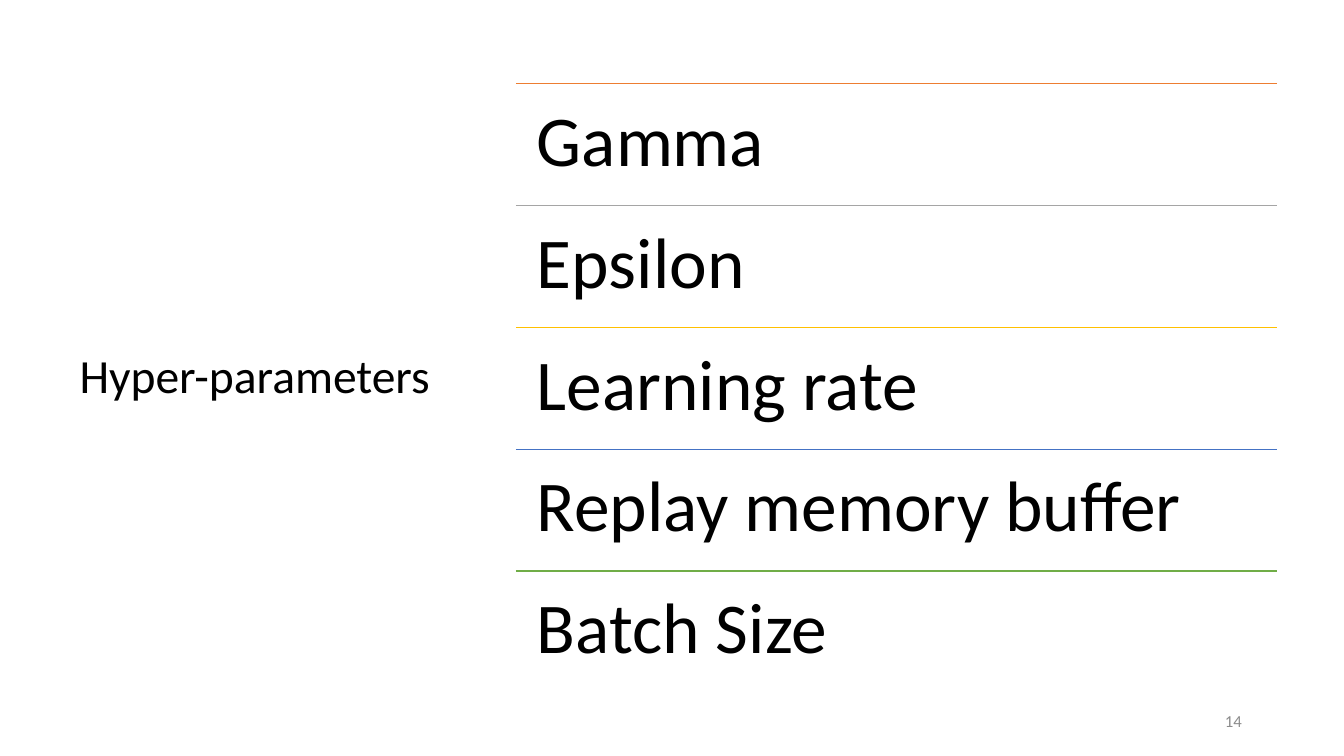
from pptx import Presentation
from pptx import util as u
from pptx.dml.color import RGBColor
from pptx.enum import shapes, text
from pptx.oxml.ns import qn
from lxml import etree

PARAMETERS = [
    ("Gamma", "ED7D31"),
    ("Epsilon", "A5A5A5"),
    ("Learning rate", "FFC000"),
    ("Replay memory buffer", "4472C4"),
    ("Batch Size", "70AD47"),
]
LIST_LEFT, LIST_TOP, LIST_WIDTH, ROW_HEIGHT = 13.0, 2.11, 19.17, 3.07


def rgb(color):
    return RGBColor.from_string(color)


def write(tf, content, size, color="000000", font="Calibri", spacing=None,
          align=text.PP_ALIGN.LEFT, anchor=text.MSO_ANCHOR.TOP, inset=None):
    tf.word_wrap = True
    tf.auto_size = text.MSO_AUTO_SIZE.NONE
    tf.vertical_anchor = anchor
    if inset is not None:
        tf.margin_left = tf.margin_right = u.Cm(inset)
        tf.margin_top = tf.margin_bottom = u.Cm(inset)
    p = tf.paragraphs[0]
    p.alignment = align
    p.line_spacing = spacing
    r = p.add_run()
    r.text = content
    r.font.name = font
    r.font.size = u.Pt(size)
    r.font.color.rgb = rgb(color)


class SlideBuilder:
    def __init__(self, prs):
        self.s = prs.slides.add_slide(prs.slide_layouts[5])

    def title(self, content, x, y, w, h, **style):
        sp = self.s.shapes.title
        sp.left, sp.top, sp.width, sp.height = map(u.Cm, (x, y, w, h))
        write(sp.text_frame, content, **style)

    def label(self, content, x, y, w, h, **style):
        sp = self.s.shapes.add_textbox(*map(u.Cm, (x, y, w, h)))
        write(sp.text_frame, content, **style)

    def rule(self, x, y, w, color):
        line = self.s.shapes.add_connector(
            shapes.MSO_CONNECTOR.STRAIGHT, *map(u.Cm, (x, y, x + w, y)))
        line.line.color.rgb = rgb(color)
        line.line.width = u.Pt(1)
        etree.SubElement(line._element.spPr, qn("a:effectLst"))


def main():
    prs = Presentation()
    prs.slide_width, prs.slide_height = u.Cm(33.87), u.Cm(19.05)
    slide = SlideBuilder(prs)
    slide.title("Hyper-parameters", 1.75, 1.78, 9.5, 15.52, size=34,
                spacing=0.9, anchor=text.MSO_ANCHOR.MIDDLE)
    for i, (name, color) in enumerate(PARAMETERS):
        y = LIST_TOP + i * ROW_HEIGHT
        slide.rule(LIST_LEFT, y, LIST_WIDTH, color)
        slide.label(name, LIST_LEFT, y, LIST_WIDTH, ROW_HEIGHT, size=51,
                    spacing=0.9, inset=0.53)
    slide.label("14", 23.93, 17.65, 7.62, 1.02, size=12, color="8C8C8C",
                align=text.PP_ALIGN.RIGHT, anchor=text.MSO_ANCHOR.MIDDLE)
    prs.save("out.pptx")


if __name__ == "__main__":
    main()
